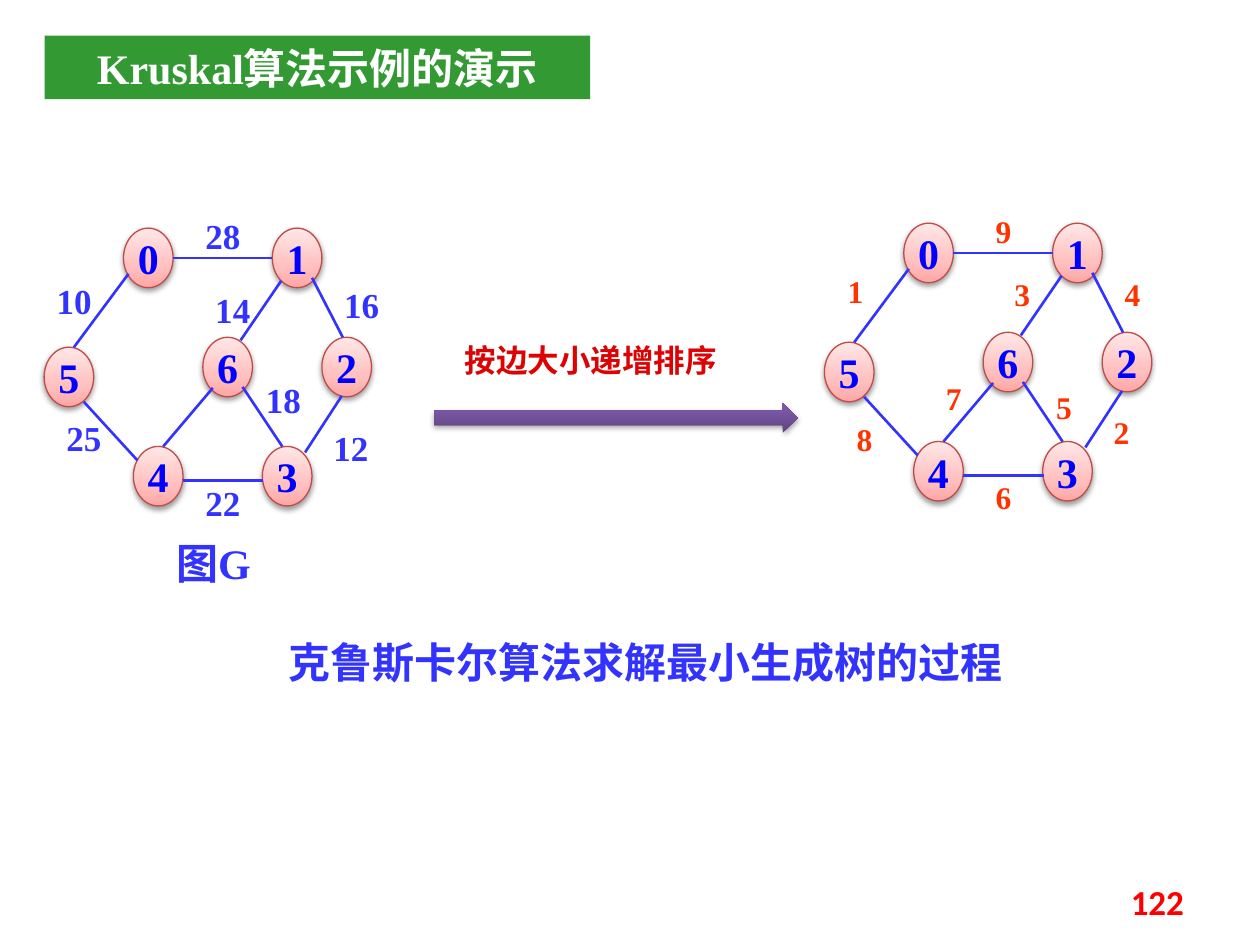
from lxml import etree
from pptx import Presentation
from pptx import util as u
from pptx.dml.color import RGBColor
from pptx.enum import shapes, text
from pptx.oxml import parse_xml
from pptx.oxml.ns import nsdecls, qn

GRID = u.Mm(2)  # every position below counts steps of this grid
BLUE = RGBColor(0x33, 0x33, 0xFF)
NODE_BLUE = RGBColor(0x00, 0x00, 0xFF)
NODE_RIM = RGBColor(0xBF, 0x4C, 0x48)
ORANGE = RGBColor(0xFF, 0x33, 0x00)
DARK_RED = RGBColor(0xDB, 0x03, 0x03)
RED = RGBColor(0xFF, 0x00, 0x00)
GREEN = RGBColor(0x33, 0x99, 0x33)
WHITE = RGBColor(0xFF, 0xFF, 0xFF)
NODE_STOPS = [(0, "FFA6A5"), (35, "FFC0BF"), (100, "FFE7E7")]
ARROW_STOPS = [(0, "5F4480"), (80, "7B58A6"), (100, "7C57A8")]


def write(shape, words, size, color, align=text.PP_ALIGN.LEFT,
          font="Times New Roman", wrap=True):
    frame = shape.text_frame
    frame.word_wrap = wrap
    line = frame.paragraphs[0]
    line.text = words
    line.alignment = align
    line.font.name = font
    line.font.size = u.Pt(size)
    line.font.bold = True
    line.font.color.rgb = color
    return frame


def shade(shape, stops, shadow_percent):
    """Upward gradient with a soft shadow below."""
    shape.fill.gradient()
    shape.fill.gradient_angle = 90
    properties = shape._element.spPr
    stop_list = properties.find(qn("a:gradFill")).find(qn("a:gsLst"))
    for stop in list(stop_list):
        stop_list.remove(stop)
    for percent, color in stops:
        stop = etree.SubElement(stop_list, qn("a:gs"), pos=str(percent * 1000))
        etree.SubElement(stop, qn("a:srgbClr"), val=color)
    shape.shadow.inherit = False
    properties.find(qn("a:effectLst")).append(parse_xml(
        f'<a:outerShdw {nsdecls("a")} blurRad="40000" dist="21500" dir="5400000"'
        f' rotWithShape="0"><a:srgbClr val="000000">'
        f'<a:alpha val="{shadow_percent * 1000}"/></a:srgbClr></a:outerShdw>'))


deck = Presentation()
deck.slide_width, deck.slide_height = u.Inches(10), u.Inches(7.5)
slide = deck.slides.add_slide(deck.slide_layouts[6])

# Title bar
title = slide.shapes.add_shape(shapes.MSO_SHAPE.RECTANGLE, *(
    int(n * GRID) for n in (4.5, 3.6, 55, 6.4)))
title.shadow.inherit = False
title.fill.solid()
title.fill.fore_color.rgb = GREEN
title.line.fill.background()
write(title, "Kruskal算法示例的演示", 24, WHITE, text.PP_ALIGN.CENTER)

# Both graphs share one layout, measured from the graph's corner
nodes = {"0": (8, 0), "1": (23, 0), "5": (0, 12), "4": (9, 22),
         "3": (22, 22), "6": (16, 11), "2": (28, 11)}
edges = [(13, 3, 23, 3), (8.5, 4.6, 3, 12), (4, 17.5, 9.4, 23.4),
         (14, 25.4, 22.1, 25.4), (12, 22, 17, 16.1), (20, 16, 24, 22),
         (23.9, 5.3, 19.8, 11.3), (27, 5, 30.1, 11), (30, 16.9, 26.3, 22.6)]
weights = {"28": (15, -2), "10": (0, 4.5), "14": (16, 5.5), "25": (1, 18.4),
           "18": (21.1, 14.5), "22": (15, 24.9), "16": (29, 5),
           "12": (27.9, 19.4)}
ranks = {"1": (1.1, 4.3), "2": (27.9, 18.5), "3": (17.9, 4.6),
         "8": (2, 19.2), "6": (16, 25.1), "7": (11, 15.1),
         "9": (16, -1.8), "5": (22.1, 16), "4": (29, 4.6)}
graphs = [
    (4.45, 23, weights, 7, 20, BLUE, text.PP_ALIGN.LEFT),
    (83.1, 22.5, ranks, 4, 18, ORANGE, text.PP_ALIGN.CENTER),
]
for left, top, labels, label_width, size, color, align in graphs:
    graph = slide.shapes.add_group_shape().shapes
    for number, (x, y) in nodes.items():
        node = graph.add_shape(shapes.MSO_SHAPE.OVAL, *(
            int(n * GRID) for n in (left + x, top + y, 5, 6)))
        shade(node, NODE_STOPS, 38)
        node.line.color.rgb = NODE_RIM
        node.line.width = u.Pt(0.75)
        frame = write(node, number, 24, NODE_BLUE, text.PP_ALIGN.CENTER, wrap=False)
        frame.vertical_anchor = text.MSO_ANCHOR.MIDDLE
    for x1, y1, x2, y2 in edges:
        edge = graph.add_connector(shapes.MSO_CONNECTOR.STRAIGHT, *(
            int(n * GRID) for n in (left + x1, top + y1, left + x2, top + y2)))
        edge.line.color.rgb = BLUE
        edge.line.width = u.Pt(1.5)
        etree.SubElement(edge._element.spPr, qn("a:effectLst"))
    for label, (x, y) in labels.items():
        box = graph.add_textbox(*(
            int(n * GRID) for n in (left + x, top + y, label_width, 5.3)))
        write(box, label, size, color, align)

# Sorting arrow between the graphs
arrow = slide.shapes.add_shape(shapes.MSO_SHAPE.RIGHT_ARROW, *(
    int(n * GRID) for n in (43.7, 40.65, 36.7, 2.95)))
shade(arrow, ARROW_STOPS, 35)
arrow.line.fill.background()

# Captions: words, size, colour, left, top, width, height
captions = [
    ("克鲁斯卡尔算法求解最小生成树的过程", 24, BLUE, 27.8, 63.5, 77.1, 6.4),
    ("图G", 24, BLUE, 16.5, 53.6, 13, 6.4),
    ("按边大小递增排序", 18, DARK_RED, 45.6, 33.8, 35, 5.1),
]
for words, size, color, *place in captions:
    write(slide.shapes.add_textbox(*(int(n * GRID) for n in place)),
          words, size, color)

# Page number
page = slide.shapes.add_textbox(*(int(n * GRID) for n in (91, 88.3, 29.6, 5.1)))
frame = write(page, "122", 20, RED, text.PP_ALIGN.RIGHT, "Calibri")
frame.vertical_anchor = text.MSO_ANCHOR.MIDDLE

deck.save("out.pptx")
